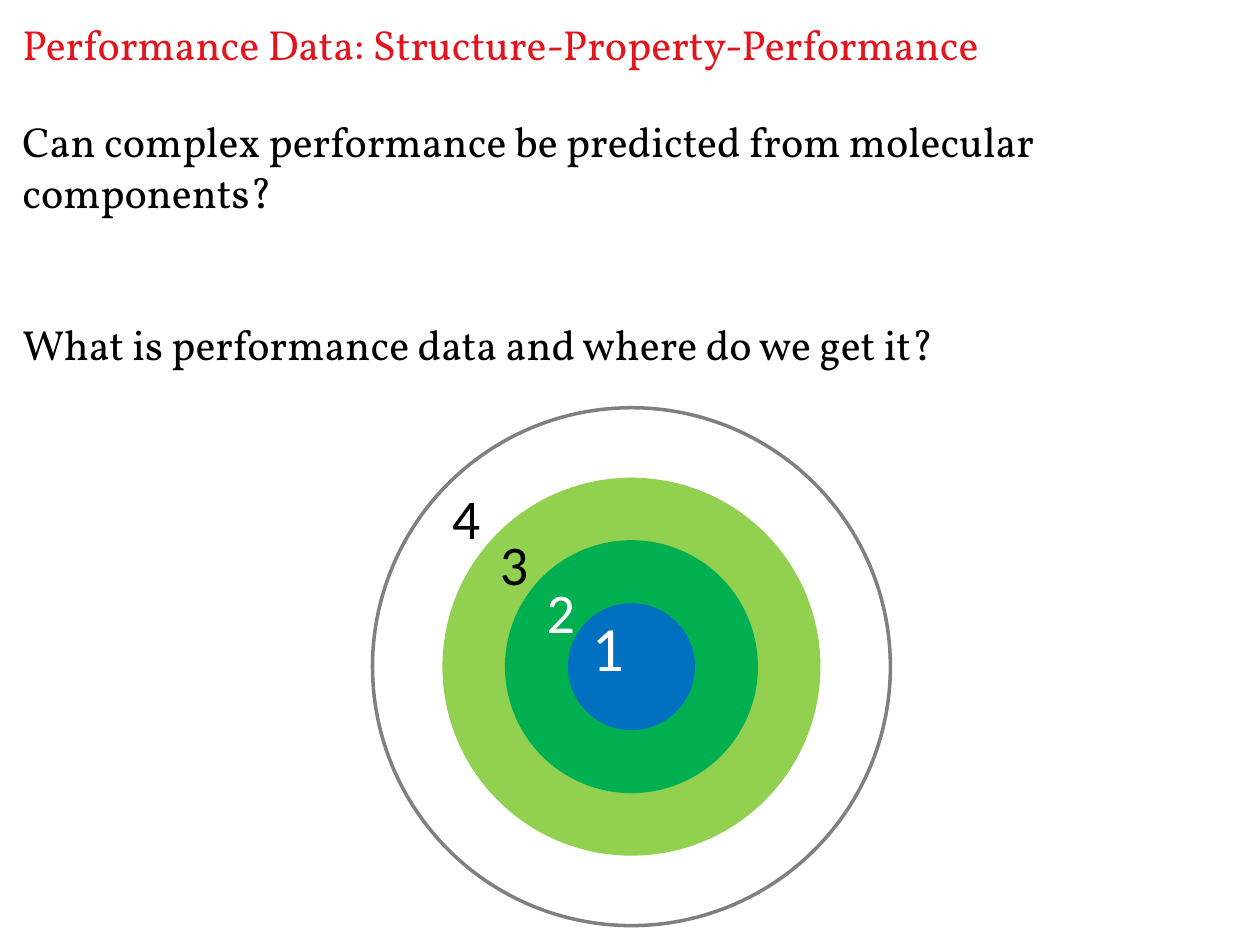
from pptx import Presentation
from pptx.dml.color import RGBColor
from pptx.enum.shapes import MSO_SHAPE
from pptx.enum.text import MSO_ANCHOR
from pptx.util import Cm, Pt

OVAL = MSO_SHAPE.OVAL
TOP, MIDDLE = MSO_ANCHOR.TOP, MSO_ANCHOR.MIDDLE

RED = RGBColor(0xE2, 0x14, 0x1D)
BLACK = RGBColor(0x00, 0x00, 0x00)
WHITE = RGBColor(0xFF, 0xFF, 0xFF)
GRAY = RGBColor(0x80, 0x80, 0x80)
LIGHT_GREEN = RGBColor(0x92, 0xD0, 0x50)
GREEN = RGBColor(0x00, 0xB0, 0x50)
BLUE = RGBColor(0x00, 0x70, 0xC0)

# Content; all lengths in centimetres
TITLE = "Performance Data: Structure-Property-Performance"
QUESTIONS = [
    "Can complex performance be predicted from molecular components?",
    "What is performance data and where do we get it?",
]
CENTER_X, CENTER_Y = 12.73, 13.44
RINGS = [  # diameter, fill, line
    (10.44, None, GRAY),
    (7.62, LIGHT_GREEN, None),
    (5.1, GREEN, None),
    (2.56, BLUE, None),
]
LABELS = [  # text, left, top, width, height, size, colour
    ("1", 11.68, 12.14, 1.04, 1.8, 36, WHITE),
    ("2", 10.77, 11.51, 1.04, 1.63, 32, WHITE),
    ("3", 9.83, 10.54, 1.45, 1.63, 32, BLACK),
    ("4", 8.86, 9.63, 1.04, 1.63, 32, BLACK),
]


def add_text(slide, lines, box, font_name, size, color, anchor=TOP, gap=0):
    """Add a text box with one paragraph per line and a gap between them."""
    frame = slide.shapes.add_textbox(*map(Cm, box)).text_frame
    frame.word_wrap = True
    frame.vertical_anchor = anchor
    frame.text = "\n".join(lines)
    for index, paragraph in enumerate(frame.paragraphs):
        paragraph.font.name = font_name
        paragraph.font.size = Pt(size)
        paragraph.font.color.rgb = color
        if index:
            paragraph.space_before = Pt(gap)


def add_ring(slide, diameter, fill, line):
    """Add a circle around the common centre."""
    box = (CENTER_X - diameter / 2, CENTER_Y - diameter / 2, diameter, diameter)
    ring = slide.shapes.add_shape(OVAL, *map(Cm, box))
    ring.shadow.inherit = False
    if fill is None:
        ring.fill.background()
    else:
        ring.fill.solid()
        ring.fill.fore_color.rgb = fill
    if line is None:
        ring.line.fill.background()
    else:
        ring.line.color.rgb = line
        ring.line.width = Pt(2)


def main():
    presentation = Presentation()
    presentation.slide_width, presentation.slide_height = Cm(25.4), Cm(19.05)
    slide = presentation.slides.add_slide(presentation.slide_layouts[6])

    # Title and questions
    add_text(slide, [TITLE], (0.2, 0.15, 20.12, 1.45), "Vollkorn", 24, RED, MIDDLE)
    add_text(slide, QUESTIONS, (0.2, 2.21, 21.59, 11.51), "Vollkorn", 24, BLACK, gap=58)

    # Concentric rings, outermost first, then their numbers
    for ring in RINGS:
        add_ring(slide, *ring)
    for text, left, top, width, height, size, color in LABELS:
        add_text(slide, [text], (left, top, width, height), "Calibri", size, color)

    presentation.save("out.pptx")


if __name__ == "__main__":
    main()
